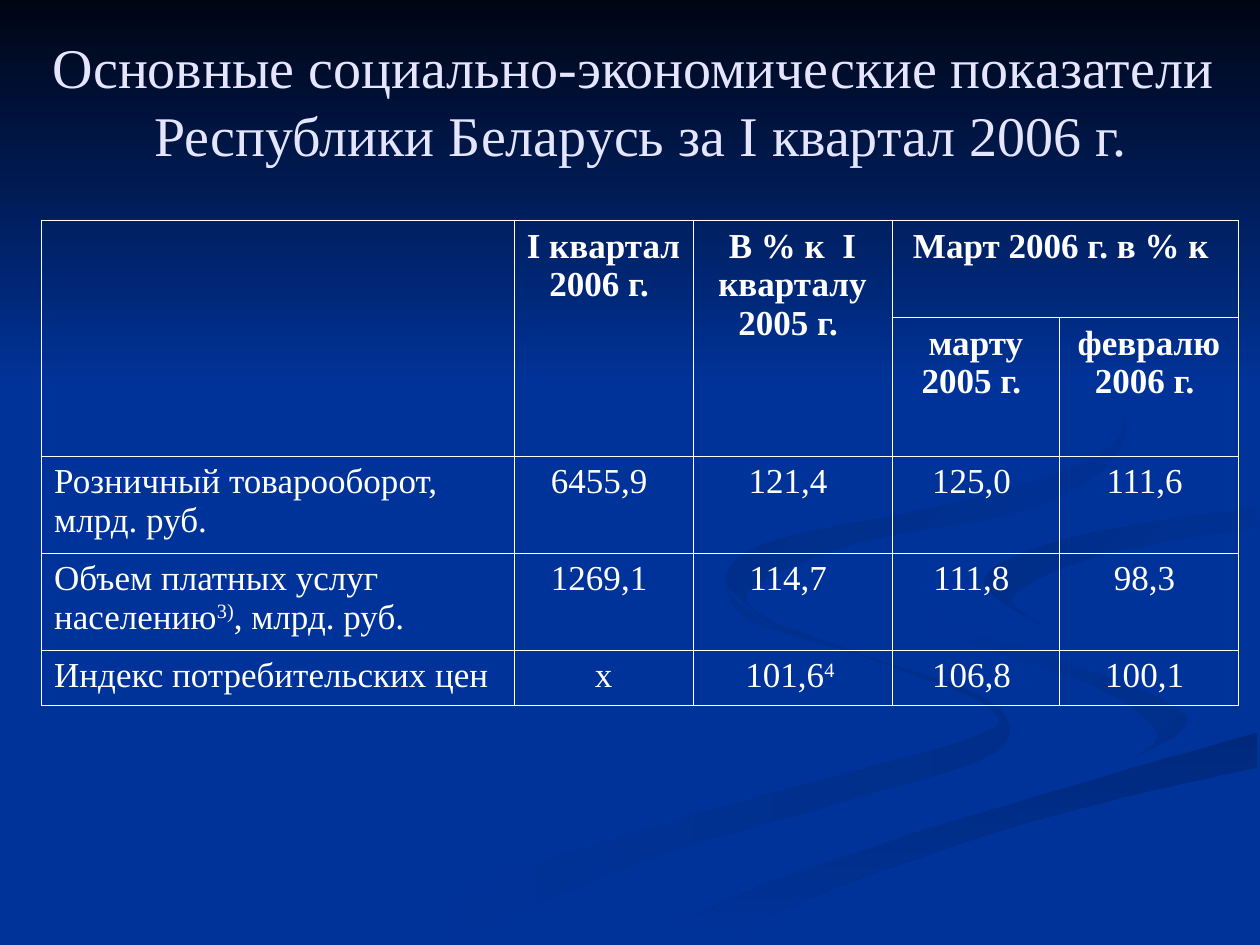
import pptx
import pptx.util
from lxml import etree
from pptx.dml.color import RGBColor
from pptx.enum.shapes import MSO_SHAPE
from pptx.enum.text import MSO_ANCHOR, PP_ALIGN
from pptx.oxml.ns import qn
from pptx.util import Inches

FONT = "Times New Roman"
COLORS = {
    "blue": "003399",
    "night": "000514",
    "title": "E5E5FF",
    "white": "FFFFFF",
    "shade_left": "002E8A",
    "shade_low": "00297C",
    "shade_mid": "002C85",
    "shade_top": "002B81",
}

RIBBONS = [
    ("shade_left", "blue", 180, [
        [(575, 459), (594, 491), (697, 525), (785, 562), (767, 587), (579, 639), (417, 690),
         (300, 749)],
        [(361, 749), (499, 687), (676, 634), (791, 597), (786, 556), (682, 519), (594, 485),
         (575, 459)]]),
    ("shade_left", "blue", 225, [
        [(724, 464), (746, 500), (868, 544), (918, 581), (894, 605)],
        [(894, 605), (943, 570), (870, 530), (758, 498), (724, 464)]]),
    ("shade_low", "blue", 90, [
        [(503, 749), (630, 693), (764, 647), (998, 581)],
        [(998, 609), (821, 651), (649, 710), (571, 749)]]),
    ("blue", "blue", 0, [
        [(477, 749), (663, 668), (869, 611), (943, 570), (831, 519), (734, 483), (742, 439),
         (874, 408), (999, 387)],
        [(999, 402), (850, 427), (781, 463), (848, 503), (999, 538)],
        [(999, 581), (832, 629), (630, 693), (503, 749)]]),
    ("blue", "shade_mid", 225, [
        [(998, 402), (849, 427), (781, 460), (826, 496)],
        [(826, 496), (805, 472), (878, 439), (998, 420)]]),
    ("blue", "shade_top", 225, [
        [(762, 233), (870, 299), (882, 354), (763, 398), (615, 429), (577, 462), (622, 500)],
        [(622, 500), (593, 470), (683, 430), (825, 402), (894, 344), (843, 275), (762, 233)]]),
]

COLUMNS = [3.75, 1.42, 1.58, 1.33, 1.42]
ROWS = [0.77, 1.1, 0.77, 0.77, 0.44]
MERGES = [(0, 0, 1, 0), (0, 1, 1, 1), (0, 2, 1, 2), (0, 3, 0, 4)]
SUPERSCRIPT = "^"
CELLS = [
    ["", "I квартал\v2006 г. ", "В % к  I кварталу 2005 г. ", "Март 2006 г. в % к ", ""],
    ["", "", "", "марту 2005 г. ", "февралю\v2006 г. "],
    ["Розничный товарооборот, млрд. руб.", "6455,9 ", "121,4 ", "125,0 ", "111,6 "],
    ["Объем платных услуг населению^3)^, млрд. руб.", "1269,1 ", "114,7 ", "111,8 ", "98,3 "],
    ["Индекс потребительских цен", "х", "101,6^4 ", "106,8 ", "100,1 "],
]


def rgb(name):
    return RGBColor.from_string(COLORS[name])


def set_text(tf, text, size=20, color="white", bold=False, align=PP_ALIGN.CENTER):
    p = tf.paragraphs[0]
    p.alignment = align
    for i, part in enumerate(text.split(SUPERSCRIPT)):
        for j, line in enumerate(part.split("\v")):
            if j:
                p.add_line_break()
            r = p.add_run()
            r.text = line
            r.font.name = FONT
            r.font.size = pptx.util.Pt(size)
            r.font.bold = bold
            r.font.color.rgb = rgb(color)
            if i % 2:
                r.font._element.set("baseline", "30000")


def paint(sp, start, end, angle):
    sp.shadow.inherit = False
    sp.line.fill.background()
    if start == end:
        sp.fill.solid()
        sp.fill.fore_color.rgb = rgb(start)
        return
    sp.fill.gradient()
    sp.fill.gradient_angle = (360 - angle) % 360
    for stop, name in zip(sp.fill.gradient_stops, (start, end)):
        stop.color.rgb = rgb(name)


def spline(a, b, c, d, t):
    return b + t * (c - a + t * (2 * a - 5 * b + 4 * c - d + t * (3 * (b - c) + d - a))) / 2


def smooth(edge, steps=6):
    knots = [edge[0], *edge, edge[-1]]
    points = [edge[0]]
    for quad in zip(knots, knots[1:], knots[2:], knots[3:]):
        for step in range(1, steps + 1):
            points.append(tuple(spline(*axis, step / steps) for axis in zip(*quad)))
    return points


def add_ribbon(s, start, end, angle, edges):
    points = [point for edge in edges for point in smooth(edge)]
    builder = s.shapes.build_freeform(*points[0], scale=Inches(0.01))
    builder.add_line_segments(points[1:], close=True)
    paint(builder.convert_to_shape(), start, end, angle)


def add_background(s, prs):
    s.background.fill.solid()
    s.background.fill.fore_color.rgb = rgb("blue")
    for ribbon in RIBBONS:
        add_ribbon(s, *ribbon)
    band = s.shapes.add_shape(MSO_SHAPE.RECTANGLE, 0, 0, prs.slide_width, Inches(3.08))
    paint(band, "night", "blue", 90)


def add_title(s, text):
    title = s.shapes.title
    s.shapes._spTree.append(title._element)
    title.left, title.top = Inches(0.17), Inches(0.17)
    title.width, title.height = Inches(9.83), Inches(1.25)
    title.text_frame.vertical_anchor = MSO_ANCHOR.MIDDLE
    set_text(title.text_frame, text, size=32, color="title")


def add_border(cell, side, width):
    tcPr = cell._tc.get_or_add_tcPr()
    ln = etree.SubElement(tcPr, qn("a:ln" + side), w=str(pptx.util.Pt(width)))
    fill = etree.SubElement(ln, qn("a:solidFill"))
    etree.SubElement(fill, qn("a:srgbClr"), val=COLORS["white"])


def format_cell(cell, row, col):
    outer = {
        "L": col == 0,
        "R": col + cell.span_width == len(COLUMNS),
        "T": row == 0,
        "B": row + cell.span_height == len(ROWS),
    }
    for side, is_outer in outer.items():
        add_border(cell, side, 1.08 if is_outer else 0.45)
    cell.fill.background()
    text = CELLS[row][col]
    if text:
        align = PP_ALIGN.LEFT if col == 0 else PP_ALIGN.CENTER
        set_text(cell.text_frame, text, bold=row < 2, align=align)


def add_indicators(s):
    frame = s.shapes.add_table(len(ROWS), len(COLUMNS), Inches(0.33), Inches(1.75),
                               Inches(sum(COLUMNS)), Inches(sum(ROWS)))
    table = frame.table
    table.first_row = table.horz_banding = False
    for column, width in zip(table.columns, COLUMNS):
        column.width = Inches(width)
    for row, height in zip(table.rows, ROWS):
        row.height = Inches(height)
    for top, left, bottom, right in MERGES:
        table.cell(top, left).merge(table.cell(bottom, right))
    for row in range(len(ROWS)):
        for col in range(len(COLUMNS)):
            cell = table.cell(row, col)
            if not cell.is_spanned:
                format_cell(cell, row, col)


def main():
    prs = pptx.Presentation()
    prs.slide_width, prs.slide_height = Inches(10), Inches(7.5)
    s = prs.slides.add_slide(prs.slide_layouts[5])
    add_background(s, prs)
    add_title(s, "Основные социально-экономические показатели \v"
                 "Республики Беларусь за I квартал 2006 г.")
    add_indicators(s)
    prs.save("out.pptx")


if __name__ == "__main__":
    main()
